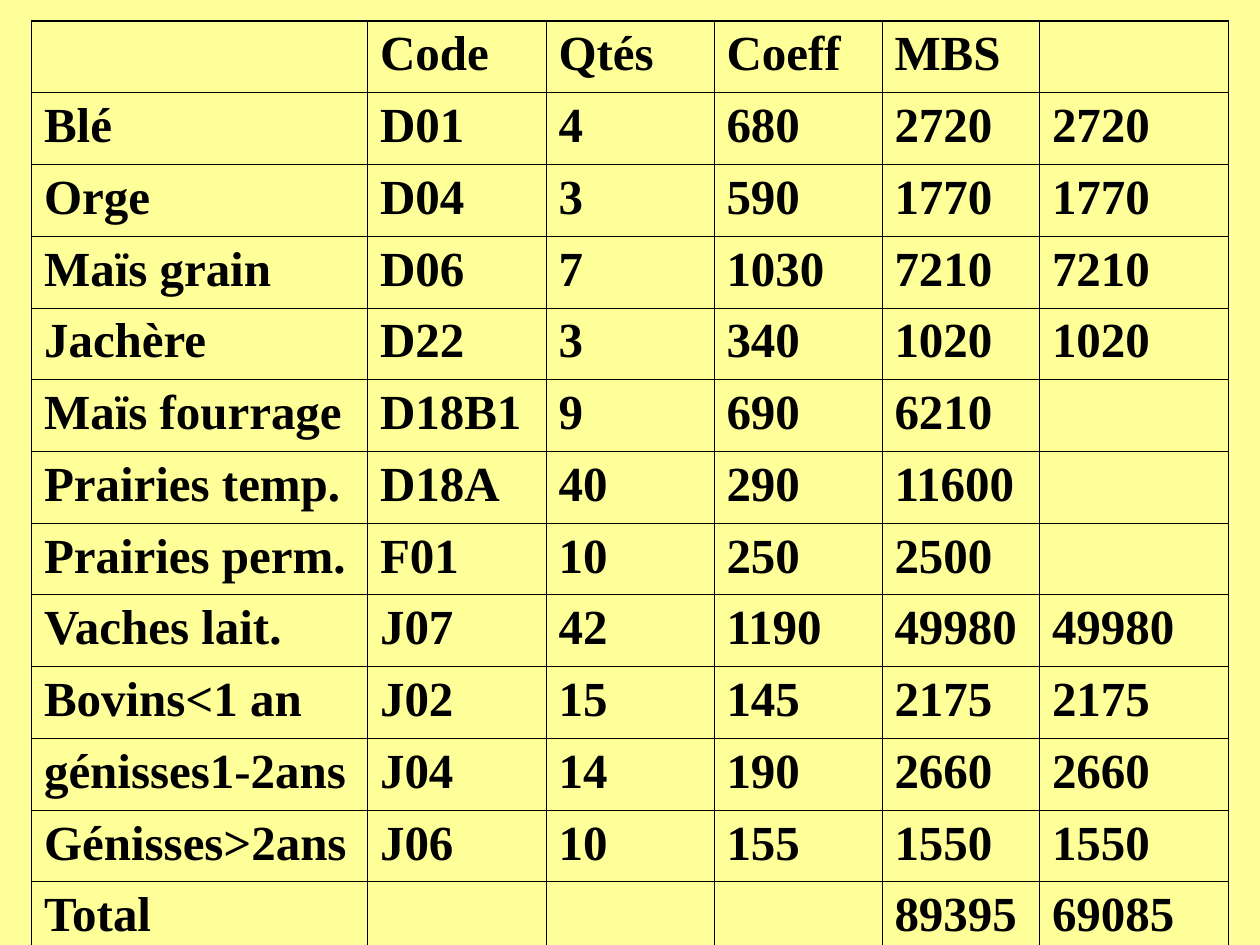
from dataclasses import dataclass

from lxml import etree
from pptx import Presentation
from pptx.dml.color import RGBColor
from pptx.enum.text import MSO_ANCHOR, PP_ALIGN
from pptx.oxml.ns import qn
from pptx.util import Pt

TOP = MSO_ANCHOR.TOP
LEFT = PP_ALIGN.LEFT
BLANK_LAYOUT = 6


@dataclass(frozen=True)
class Theme:
    background: str = "FFFF99"
    ink: str = "000000"
    font: str = "Times New Roman"
    text_size: float = 28
    space_before: float = 7
    inner_line: float = 0.45
    outer_line: float = 1.08


@dataclass(frozen=True)
class Box:
    left: float
    top: float
    width: float
    height: float


THEME = Theme()
TABLE_BOX = Box(18, 12, 684, 533)
COLUMN_WIDTHS = (192, 102, 96, 96, 90, 108)
MARGIN_ROWS = (
    ("", "Code", "Qtés", "Coeff", "MBS", ""),
    ("Blé", "D01", "4", "680", "2720", "2720"),
    ("Orge", "D04", "3", "590", "1770", "1770"),
    ("Maïs grain", "D06", "7", "1030", "7210", "7210"),
    ("Jachère", "D22", "3", "340", "1020", "1020"),
    ("Maïs fourrage", "D18B1", "9", "690", "6210", ""),
    ("Prairies temp.", "D18A", "40", "290", "11600", ""),
    ("Prairies perm.", "F01", "10", "250", "2500", ""),
    ("Vaches lait.", "J07", "42", "1190", "49980", "49980"),
    ("Bovins<1 an", "J02", "15", "145", "2175", "2175"),
    ("génisses1-2ans", "J04", "14", "190", "2660", "2660"),
    ("Génisses>2ans", "J06", "10", "155", "1550", "1550"),
    ("Total", "", "", "", "89395", "69085"),
)


def set_attributes(target, values):
    for name, value in values.items():
        setattr(target, name, value)


def add_borders(cell, outer_sides):
    properties = cell._tc.get_or_add_tcPr()
    for side, is_outer in outer_sides.items():
        width = THEME.outer_line if is_outer else THEME.inner_line
        line = etree.SubElement(properties, qn(f"a:ln{side}"), w=str(Pt(width)))
        fill = etree.SubElement(line, qn("a:solidFill"))
        etree.SubElement(fill, qn("a:srgbClr"), val=THEME.ink)


def write_cell(cell, text):
    set_attributes(cell, {
        "margin_left": Pt(7.2), "margin_right": Pt(7.2),
        "margin_top": Pt(3.6), "margin_bottom": Pt(3.6),
        "vertical_anchor": TOP,
    })
    cell.fill.background()
    if not text:
        return
    para = cell.text_frame.paragraphs[0]
    set_attributes(para, {"alignment": LEFT, "space_before": Pt(THEME.space_before)})
    span = para.add_run()
    span.text = text
    set_attributes(span.font, {
        "name": THEME.font, "size": Pt(THEME.text_size), "bold": True,
    })
    span.font.color.rgb = RGBColor.from_string(THEME.ink)


def add_margin_table(page, box, rows, column_widths):
    last_row, last_column = len(rows) - 1, len(column_widths) - 1
    table = page.shapes.add_table(
        len(rows), len(column_widths),
        Pt(box.left), Pt(box.top), Pt(box.width), Pt(box.height),
    ).table
    set_attributes(table, {"first_row": False, "horz_banding": False})
    for column, width in zip(table.columns, column_widths):
        column.width = Pt(box.width * width / sum(column_widths))
    for row_index, texts in enumerate(rows):
        table.rows[row_index].height = Pt(box.height / len(rows))
        for column_index, text in enumerate(texts):
            cell = table.cell(row_index, column_index)
            add_borders(cell, {
                "L": column_index == 0, "R": column_index == last_column,
                "T": row_index == 0, "B": row_index == last_row,
            })
            write_cell(cell, text)


def main():
    deck = Presentation()
    set_attributes(deck, {"slide_width": Pt(720), "slide_height": Pt(540)})
    page = deck.slides.add_slide(deck.slide_layouts[BLANK_LAYOUT])
    page.background.fill.solid()
    page.background.fill.fore_color.rgb = RGBColor.from_string(THEME.background)
    add_margin_table(page, TABLE_BOX, MARGIN_ROWS, COLUMN_WIDTHS)
    deck.save("out.pptx")


if __name__ == "__main__":
    main()
